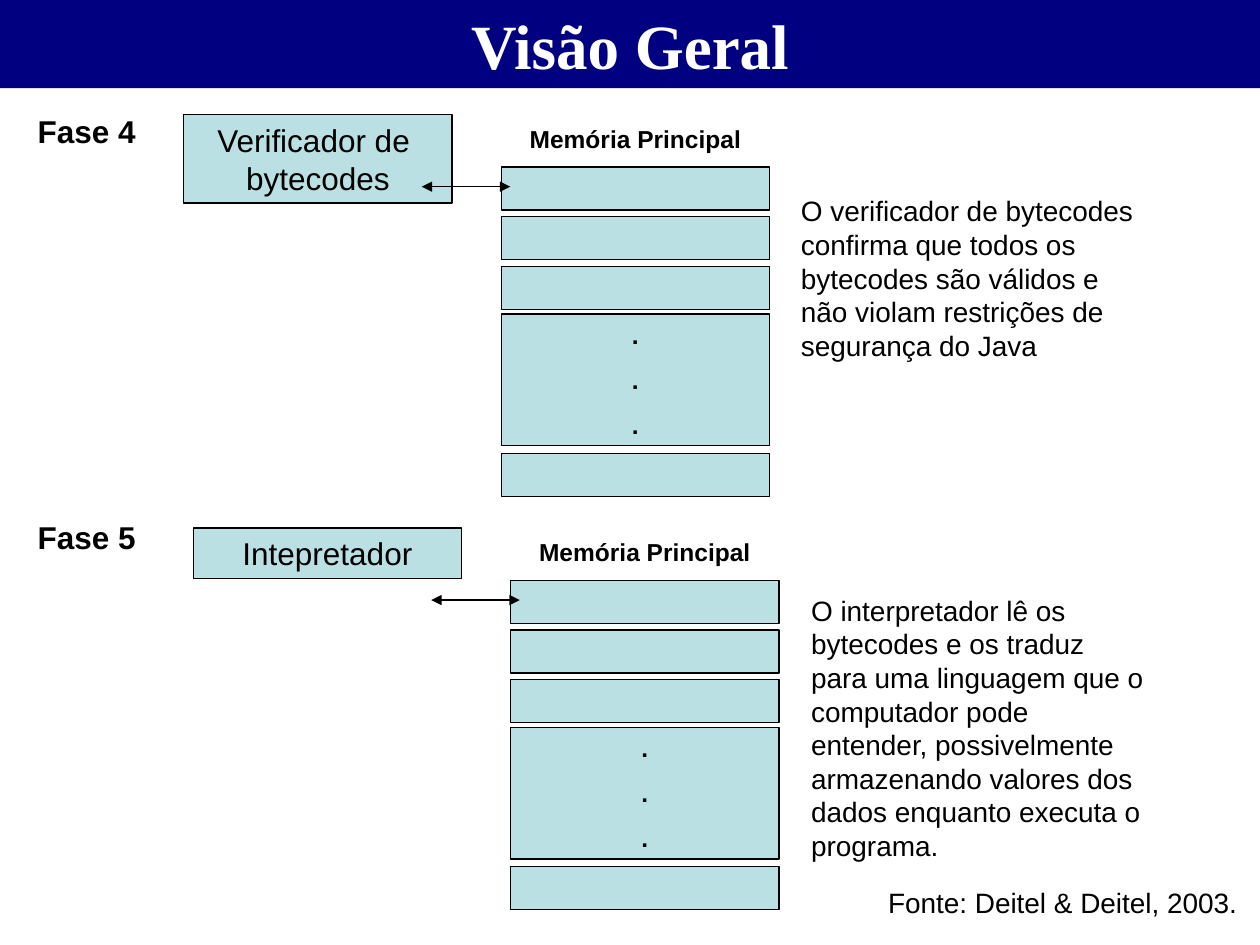
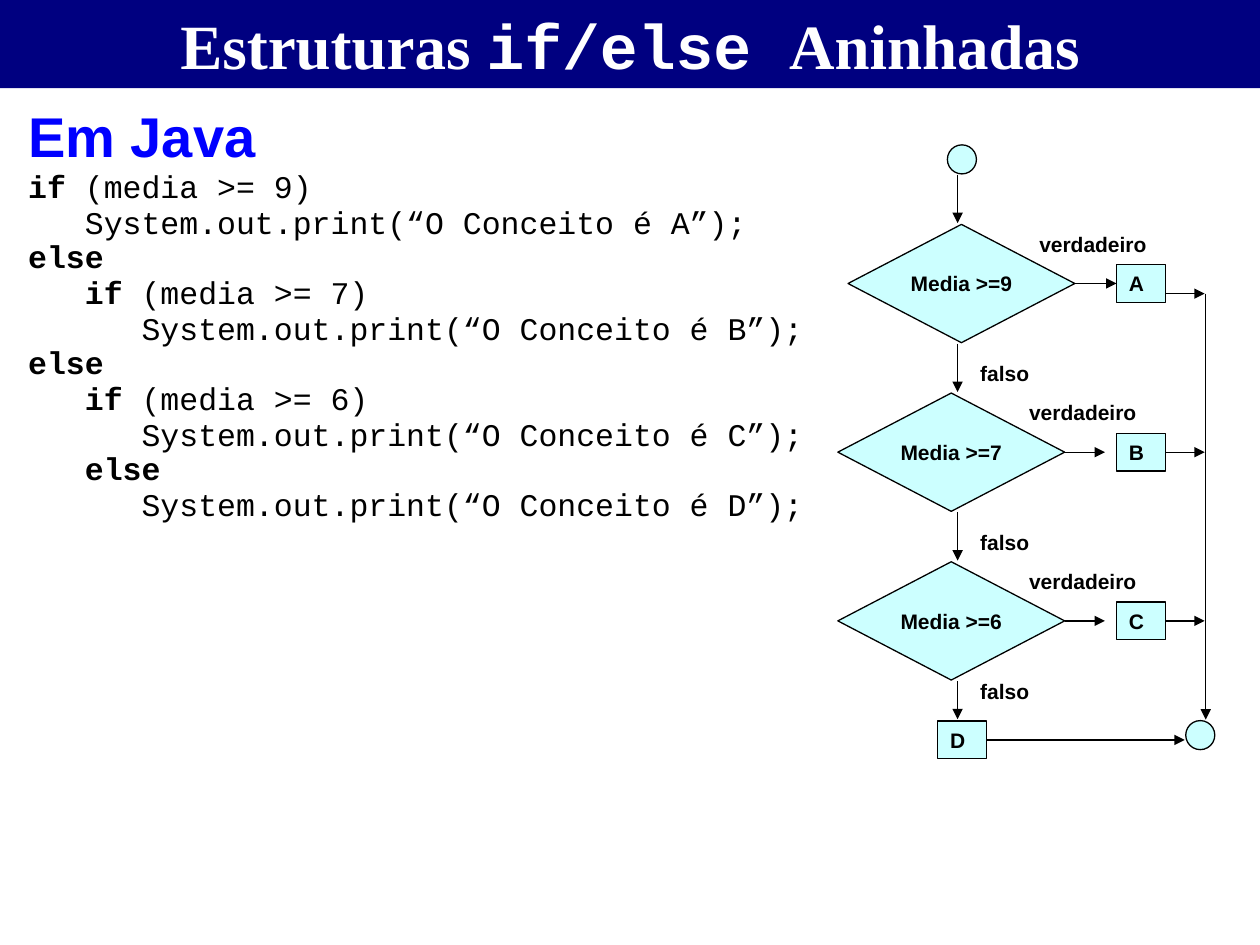
from dataclasses import dataclass, replace

from lxml.etree import SubElement
from pptx import Presentation
from pptx.dml.color import RGBColor as RGB
from pptx.enum.shapes import MSO_CONNECTOR as Connector, MSO_SHAPE as Preset
from pptx.enum.text import MSO_ANCHOR as Anchor, MSO_AUTO_SIZE as AutoSize, PP_ALIGN as Align
from pptx.oxml.ns import qn
from pptx.util import Pt


@dataclass(frozen=True)
class Style:
    size: float
    bold: bool = False
    color: RGB = RGB(0, 0, 0)
    font: str = "Arial"


@dataclass(frozen=True)
class Theme:
    band: RGB = RGB(0x00, 0x00, 0x80)
    memory: RGB = RGB(0xBB, 0xE0, 0xE3)
    flow: RGB = RGB(0xCC, 0xFF, 0xFF)
    line: RGB = RGB(0, 0, 0)
    line_width: float = 0.75
    title: Style = Style(36, True, RGB(0xFF, 0xFF, 0xFF), "Times New Roman")
    title_code: Style = Style(36, True, RGB(0xFF, 0xFF, 0xFF), "Courier New")
    heading: Style = Style(32, True, RGB(0x00, 0x00, 0xFF))
    phase: Style = Style(18, True)
    stage: Style = Style(18)
    prose: Style = Style(16)
    memory_label: Style = Style(14, True)
    flow_label: Style = Style(12, True)
    code: Style = Style(18, font="Courier New")


THEME = Theme()
KEYWORD = replace(THEME.code, bold=True)
SLIDE_WIDTH, SLIDE_HEIGHT, BAND_HEIGHT = 720, 540, 50.4


def points(*lengths):
    return [Pt(length) for length in lengths]


def add_runs(paragraph, runs):
    for text, style in runs:
        if text == "\n":
            paragraph.add_line_break()
            continue
        run = paragraph.add_run()
        run.text = text
        run.font.size = Pt(style.size)
        run.font.bold = style.bold
        run.font.name = style.font
        run.font.color.rgb = style.color


def write(frame, paragraphs, align=Align.LEFT, anchor=Anchor.TOP, gap=0, side_inset=7.2):
    frame.word_wrap = True
    frame.auto_size = AutoSize.NONE
    frame.vertical_anchor = anchor
    frame.margin_left = frame.margin_right = Pt(side_inset)
    frame.margin_top = frame.margin_bottom = Pt(3.6)
    for index, runs in enumerate(paragraphs):
        paragraph = frame.add_paragraph() if index else frame.paragraphs[0]
        paragraph.alignment = align
        paragraph.space_before = Pt(gap if index else 0)
        add_runs(paragraph, runs)


def add_titled_slide(deck, runs):
    slide = deck.slides.add_slide(deck.slide_layouts[5])
    title = slide.shapes.title
    title.left, title.top, title.width, title.height = points(0, 0, SLIDE_WIDTH, BAND_HEIGHT)
    title.fill.solid()
    title.fill.fore_color.rgb = THEME.band
    write(title.text_frame, [runs], Align.CENTER, Anchor.MIDDLE)
    return slide


def add_label(slide, area, text, style, align=Align.LEFT):
    label = slide.shapes.add_textbox(*points(*area))
    write(label.text_frame, [[(text, style)]], align)


def add_block(slide, preset, area, fill, paragraphs=(), **layout):
    block = slide.shapes.add_shape(preset, *points(*area))
    block.shadow.inherit = False
    block.fill.solid()
    block.fill.fore_color.rgb = fill
    block.line.color.rgb = THEME.line
    block.line.width = Pt(THEME.line_width)
    write(block.text_frame, paragraphs, **layout)
    return block


def add_arrow(slide, start, end, source=None, target=None, both_ends=False):
    arrow = slide.shapes.add_connector(Connector.STRAIGHT, *points(*start, *end))
    if source:
        arrow.begin_connect(*source)
    if target:
        arrow.end_connect(*target)
    arrow.line.color.rgb = THEME.line
    arrow.line.width = Pt(THEME.line_width)
    outline = arrow.line._get_or_add_ln()
    if both_ends:
        SubElement(outline, qn("a:headEnd"), type="triangle")
    SubElement(outline, qn("a:tailEnd"), type="triangle")
    SubElement(arrow._element.spPr, qn("a:effectLst"))


def add_memory(slide, left, top):
    width, cell_height = 153.4, 24.6
    add_label(slide, (left, top, width, cell_height), "Memória Principal", THEME.memory_label, Align.CENTER)
    for offset in (28.2, 56.6, 85, 191.8):
        add_block(slide, Preset.RECTANGLE, (left, top + offset, width, cell_height), THEME.memory)
    dots = [[(".", THEME.memory_label)]] * 3
    add_block(slide, Preset.RECTANGLE, (left, top + 112.2, width, 75.4), THEME.memory, dots,
              align=Align.CENTER, gap=8.8)


def add_phase(slide, left, top, stage_runs, stage_height, phase, phase_top, description, description_area):
    add_label(slide, (14.4, phase_top, 79, 28.8), phase, THEME.phase)
    add_block(slide, Preset.RECTANGLE, (left, top, 153.4, stage_height), THEME.memory, [stage_runs],
              align=Align.CENTER)
    add_memory(slide, left + 181.4, top + 1.6)
    arrow_y = top + 41.1
    add_arrow(slide, (left + 136, arrow_y), (left + 186.6, arrow_y), both_ends=True)
    add_label(slide, description_area, description, THEME.prose)


def build_overview(deck):
    slide = add_titled_slide(deck, [("Visão Geral", THEME.title)])
    verifier = [("Verificador de ", THEME.stage), ("\n", THEME.stage), ("bytecodes", THEME.stage)]
    add_phase(slide, 105, 65.6, verifier, 50.4, "Fase 4", 60.5,
              "O verificador de bytecodes confirma que todos os bytecodes são válidos "
              "e não violam restrições de segurança do Java", (450.6, 107.3, 206, 103.7))
    add_phase(slide, 110.4, 301.8, [("Intepretador", THEME.stage)], 28.8, "Fase 5", 292.4,
              "O interpretador lê os bytecodes e os traduz para uma linguagem que o computador "
              "pode entender, possivelmente armazenando valores dos dados enquanto executa o programa.",
              (456.4, 335.5, 206, 161.3))
    add_label(slide, (354.2, 502.6, 360, 26.6), "Fonte: Deitel & Deitel, 2003.", THEME.prose, Align.RIGHT)


def add_code(slide):
    lines = [
        ("if ", "(media >= 9)"),
        ("", "   System.out.print(“O Conceito é A”);"),
        ("else", ""),
        ("   if ", "(media >= 7)"),
        ("", "      System.out.print(“O Conceito é B”);"),
        ("else", ""),
        ("   if ", "(media >= 6)"),
        ("", "      System.out.print(“O Conceito é C”);"),
        ("   else", ""),
        ("", "      System.out.print(“O Conceito é D”);"),
    ]
    listing = slide.shapes.add_textbox(*points(9, 54.7, 466, 255)).text_frame
    write(listing, [[("Em Java", THEME.heading)]])
    for keyword, statement in lines:
        paragraph = listing.add_paragraph()
        paragraph.line_spacing = 0.9
        paragraph.space_before = Pt(1.1 if statement else 0)
        add_runs(paragraph, [(text, style) for text, style in ((keyword, KEYWORD), (statement, THEME.code)) if text])


def add_grade(slide, left, top, grade):
    return add_block(slide, Preset.RECTANGLE, (left, top, 28, 21.6), THEME.flow, [[(grade, THEME.flow_label)]])


def add_decision_row(slide, left, top, limit, grade):
    width, height = 129.6, 67.6
    middle = top + height / 2
    decision = add_block(slide, Preset.FLOWCHART_DECISION, (left, top, width, height), THEME.flow,
                         [[(f"Media >={limit}", THEME.flow_label)]],
                         align=Align.CENTER, anchor=Anchor.MIDDLE, side_inset=0)
    result = add_grade(slide, 638, middle - 10.8, grade)
    is_first = grade == "A"
    add_arrow(slide, (left + width, middle), (left + width + 23, middle),
              source=(decision, 3), target=(result, 1) if is_first else None)
    exit_y = middle + 5.8 if is_first else middle
    add_arrow(slide, (666, exit_y), (688.4, exit_y), source=None if is_first else (result, 3))
    add_label(slide, (left + 102.2, top + 0.4, 84.2, 21.6), "verdadeiro", THEME.flow_label)


def add_flowchart(slide):
    axis, first_top, pitch = 547.2, 128.2, 96.4
    circle = 16.6
    add_block(slide, Preset.FLOWCHART_CONNECTOR, (541.4, 82.8, circle, circle), THEME.flow)
    add_arrow(slide, (axis, 99.8), (axis, 127.5))
    for row, (left, limit, grade) in enumerate([(484.6, 9, "A"), (478.8, 7, "B"), (478.8, 6, "C")]):
        top = first_top + row * pitch
        is_last = grade == "C"
        add_decision_row(slide, left, top, limit, grade)
        add_arrow(slide, (axis, top + 68.2), (axis, top + (90 if is_last else 95.8)))
        add_label(slide, (553, top + (63.4 if is_last else 74.2), 44.6, 21.6), "falso", THEME.flow_label)
    otherwise = add_grade(slide, 535.8, 412, "D")
    add_arrow(slide, (563.8, 422.8), (677, 422.8), source=(otherwise, 3))
    add_arrow(slide, (689, 167.8), (689, 411.2))
    add_block(slide, Preset.FLOWCHART_CONNECTOR, (677.6, 411.8, circle, circle), THEME.flow)


def build_nested_if(deck):
    slide = add_titled_slide(deck, [("Estruturas ", THEME.title), ("if/else ", THEME.title_code),
                                    ("Aninhadas", THEME.title)])
    add_code(slide)
    add_flowchart(slide)


def main():
    deck = Presentation()
    deck.slide_width, deck.slide_height = points(SLIDE_WIDTH, SLIDE_HEIGHT)
    build_overview(deck)
    build_nested_if(deck)
    deck.save("out.pptx")


if __name__ == "__main__":
    main()
